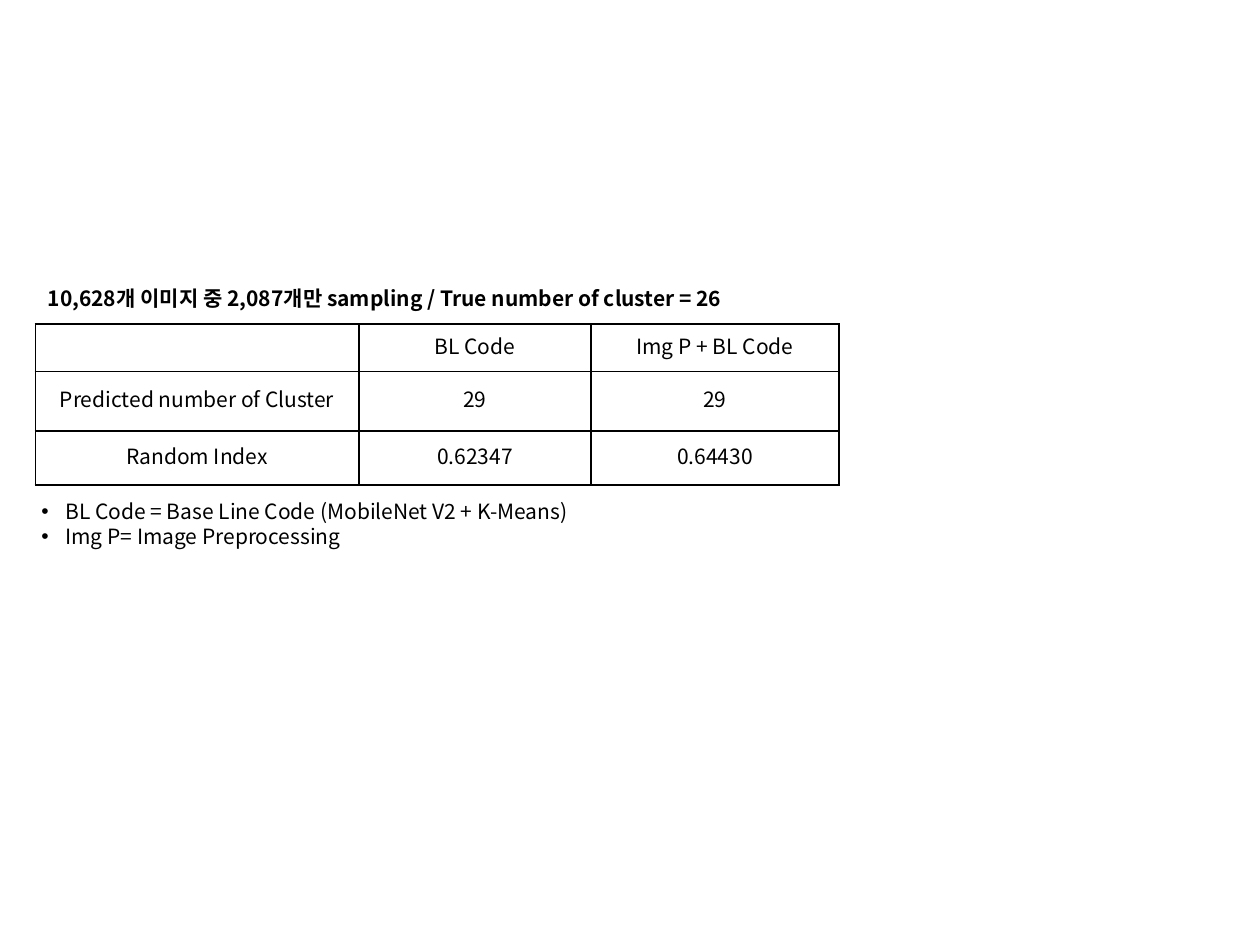
from lxml.etree import SubElement
from pptx import Presentation
from pptx.dml.color import RGBColor
from pptx.enum.text import MSO_ANCHOR, MSO_AUTO_SIZE, PP_ALIGN
from pptx.oxml.ns import qn
from pptx.util import Inches, Pt

BLACK = RGBColor(0, 0, 0)
WHITE = RGBColor(255, 255, 255)
FONT = "Noto Sans CJK KR"
BULLET_INDENT = Inches(0.19)


class SlideBuilder:
    """Holds the text style and the current slide; places are shares of its size."""

    font_format = {"name": FONT, "size": Pt(12), "bold": False}
    paragraph_format = {"line_spacing": Pt(14.4), "alignment": PP_ALIGN.LEFT}
    frame_format = {"word_wrap": False, "auto_size": MSO_AUTO_SIZE.SHAPE_TO_FIT_TEXT}
    cell_format = {"vertical_anchor": MSO_ANCHOR.MIDDLE}

    def __init__(self, presentation):
        self.width = presentation.slide_width
        self.height = presentation.slide_height
        self.slide = presentation.slides.add_slide(presentation.slide_layouts[6])

    def apply(self, target, values):
        for name, value in values.items():
            setattr(target, name, value)

    def across(self, share):
        return round(self.width * share)

    def down(self, share):
        return round(self.height * share)

    def fill_paragraph(self, paragraph, text, bold=False, alignment=PP_ALIGN.LEFT):
        self.apply(paragraph, self.paragraph_format | {"alignment": alignment})
        run = paragraph.add_run()
        run.text = text
        self.apply(run.font, self.font_format | {"bold": bold})
        run.font.color.rgb = BLACK
        SubElement(run.font._element, qn("a:ea"), typeface=FONT)

    def add_bullet(self, paragraph):
        properties = paragraph._p.get_or_add_pPr()
        properties.set("marL", str(BULLET_INDENT))
        properties.set("indent", str(-BULLET_INDENT))
        SubElement(properties, qn("a:buFont"), typeface="Arial")
        SubElement(properties, qn("a:buChar"), char="•")

    def text(self, left, top, width, height, lines, bold=False, bulleted=False):
        box = self.slide.shapes.add_textbox(
            self.across(left), self.down(top), self.across(width), self.down(height))
        frame = box.text_frame
        self.apply(frame, self.frame_format)
        for index, line in enumerate(lines):
            paragraph = frame.add_paragraph() if index else frame.paragraphs[0]
            self.fill_paragraph(paragraph, line, bold)
            if bulleted:
                self.add_bullet(paragraph)

    def add_borders(self, cell):
        properties = cell._tc.get_or_add_tcPr()
        for position, side in enumerate(("lnL", "lnR", "lnT", "lnB")):
            line = SubElement(properties, qn(f"a:{side}"), w=str(Pt(1)))
            fill = SubElement(line, qn("a:solidFill"))
            SubElement(fill, qn("a:srgbClr"), val=str(BLACK))
            properties.insert(position, line)

    def table(self, left, top, column_shares, row_shares, rows):
        shape = self.slide.shapes.add_table(
            len(row_shares), len(column_shares), self.across(left), self.down(top),
            self.across(sum(column_shares)), self.down(sum(row_shares)))
        table = shape.table
        for column, share in zip(table.columns, column_shares):
            column.width = self.across(share)
        for row, share, texts in zip(table.rows, row_shares, rows):
            row.height = self.down(share)
            for cell, text in zip(row.cells, texts):
                self.apply(cell, self.cell_format)
                cell.fill.solid()
                cell.fill.fore_color.rgb = WHITE
                self.fill_paragraph(
                    cell.text_frame.paragraphs[0], text, alignment=PP_ALIGN.CENTER)
                self.add_borders(cell)


presentation = Presentation()
presentation.slide_width = Inches(10)
presentation.slide_height = Inches(7.5)
builder = SlideBuilder(presentation)

# Results table
builder.table(
    0.028, 2.57 / 7.5,
    (0.257, 0.184, 0.197),
    (0.36 / 7.5, 0.47 / 7.5, 0.43 / 7.5),
    (
        ("", "BL Code", "Img P + BL Code"),
        ("Predicted number of Cluster", "29", "29"),
        ("Random Index", "0.62347", "0.64430"),
    ))

# Abbreviations below the table
builder.text(
    0.023, 3.91 / 7.5, 0.471, 0.5 / 7.5,
    ("BL Code = Base Line Code (MobileNet V2 + K-Means)", "Img P= Image Preprocessing"),
    bulleted=True)

# Heading above the table
builder.text(
    0.028, 2.22 / 7.5, 0.579, 0.3 / 7.5,
    ("10,628개 이미지 중 2,087개만 sampling / True number of cluster = 26",),
    bold=True)

presentation.save("out.pptx")
